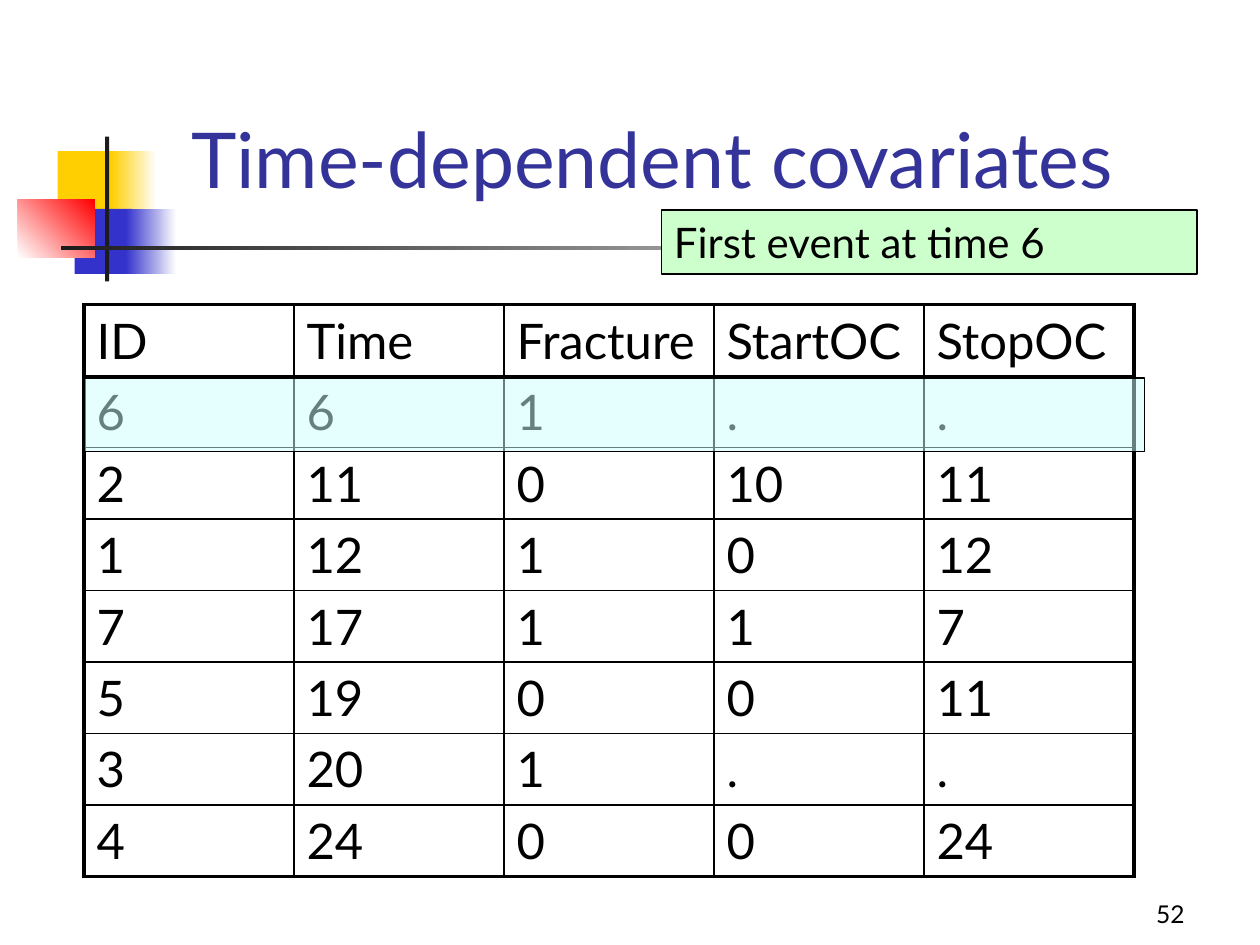
"""Build a slide with a table of time-dependent covariates and its first event marked."""
from dataclasses import dataclass

from lxml import etree
from pptx import Presentation
from pptx import util as u
from pptx.dml.color import RGBColor
from pptx.enum import shapes, text
from pptx.oxml import ns

COLUMNS, ROWS = 120, 90
FONT = "Lato"
COLORS = {
    "black": "000000", "white": "FFFFFF", "ink": "1C1C1C", "title": "333399",
    "yellow": "FFCF01", "blue": "3333CC", "red": "FF0000",
    "label": "CCFFCC", "highlight": "CCFFFF",
}
RECORDS = [
    ("ID", "Time", "Fracture", "StartOC", "StopOC"),
    ("6", "6", "1", ".", "."),
    ("2", "11", "0", "10", "11"),
    ("1", "12", "1", "0", "12"),
    ("7", "17", "1", "1", "7"),
    ("5", "19", "0", "0", "11"),
    ("3", "20", "1", ".", "."),
    ("4", "24", "0", "0", "24"),
]


@dataclass(frozen=True)
class Area:
    column: float
    row: float
    columns: float
    rows: float

    def lengths(self) -> tuple:
        unit_x, unit_y = deck.slide_width / COLUMNS, deck.slide_height / ROWS
        return (u.Emu(round(self.column * unit_x)), u.Emu(round(self.row * unit_y)),
                u.Emu(round(self.columns * unit_x)), u.Emu(round(self.rows * unit_y)))


@dataclass(frozen=True)
class Block:
    area: Area
    color: str
    fade_to: str = ""
    angle: float = 0
    outlined: bool = False


ORNAMENT = [
    Block(Area(5.5, 14.4, 5.8, 6.2), "yellow"),
    Block(Area(10.6, 14.4, 4.3, 6.2), "yellow", "white"),
    Block(Area(7.1, 19.9, 5.5, 6.2), "blue"),
    Block(Area(12, 19.9, 4.8, 6.2), "blue", "white"),
    Block(Area(1.7, 19, 7.3, 5.5), "white", "red", 45),
    Block(Area(10, 13, 0.4, 13.8), "ink"),
    Block(Area(5.8, 23.4, 108, 0.4), "ink", "white"),
]


def rgb(name: str) -> RGBColor:
    return RGBColor.from_string(COLORS[name])


def draw_block(slide, block: Block):
    box = slide.shapes.add_shape(shapes.MSO_SHAPE.RECTANGLE, *block.area.lengths())
    box.shadow.inherit = False
    if block.fade_to:
        box.fill.gradient()
        box.fill.gradient_angle = block.angle
        for stop, name in zip(box.fill.gradient_stops, (block.color, block.fade_to)):
            stop.color.rgb = rgb(name)
    else:
        box.fill.solid()
        box.fill.fore_color.rgb = rgb(block.color)
    if block.outlined:
        box.line.color.rgb = rgb("black")
        box.line.width = u.Pt(0.75)
    else:
        box.line.fill.background()
    return box


def write(frame, words: str, size: float, color: str = "black",
          align=text.PP_ALIGN.LEFT, anchor=text.MSO_ANCHOR.TOP) -> None:
    frame.text = words
    frame.vertical_anchor = anchor
    para = frame.paragraphs[0]
    para.alignment = align
    para.font.name = FONT
    para.font.size = u.Pt(size)
    para.font.color.rgb = rgb(color)


def draw_border(cell, side: str, width: float) -> None:
    properties = cell._tc.get_or_add_tcPr()
    line = etree.SubElement(properties, ns.qn(f"a:ln{side}"), w=str(u.Pt(width)))
    fill = etree.SubElement(line, ns.qn("a:solidFill"))
    etree.SubElement(fill, ns.qn("a:srgbClr"), val=COLORS["black"])


def draw_table(slide, area: Area, records: list[tuple]) -> None:
    last_row, last_column = len(records) - 1, len(records[0]) - 1
    table = slide.shapes.add_table(last_row + 1, last_column + 1, *area.lengths()).table
    table.first_row = table.horz_banding = False
    for row, record in enumerate(records):
        for column, words in enumerate(record):
            cell = table.cell(row, column)
            write(cell.text_frame, words, 28)
            outer = {"L": column == 0, "R": column == last_column,
                     "T": row == 0, "B": row == last_row}
            for side, is_outer in outer.items():
                draw_border(cell, side, 2.25 if is_outer else 1)
            cell.fill.background()


def set_opacity(box, share: float) -> None:
    color = box.element.spPr.find(f"{ns.qn('a:solidFill')}/{ns.qn('a:srgbClr')}")
    etree.SubElement(color, ns.qn("a:alpha"), val=str(round(share * 100000)))


deck = Presentation()
deck.slide_width, deck.slide_height = u.Inches(10), u.Inches(7.5)
page = deck.slides.add_slide(deck.slide_layouts[5])

for part in ORNAMENT:
    draw_block(page, part)

number = page.shapes.add_textbox(*Area(89, 83, 25, 6).lengths())
number.text_frame.word_wrap = True
write(number.text_frame, "52", 14, align=text.PP_ALIGN.RIGHT, anchor=text.MSO_ANCHOR.BOTTOM)

draw_table(page, Area(8, 29, 100, 54.4), RECORDS)

title = page.shapes.title
title.left, title.top, title.width, title.height = Area(17, 10, 90.4, 10).lengths()
title.text_frame.auto_size = text.MSO_AUTO_SIZE.NONE
title.text_frame.word_wrap = False
write(title.text_frame, "Time-dependent covariates", 44, "title")

label = draw_block(page, Block(Area(63, 20, 51, 6.1), "label", outlined=True))
write(label.text_frame, "First event at time 6", 24, anchor=text.MSO_ANCHOR.MIDDLE)

highlight = draw_block(page, Block(Area(8, 36, 101, 7), "highlight", outlined=True))
set_opacity(highlight, 0.5)

deck.save("out.pptx")
